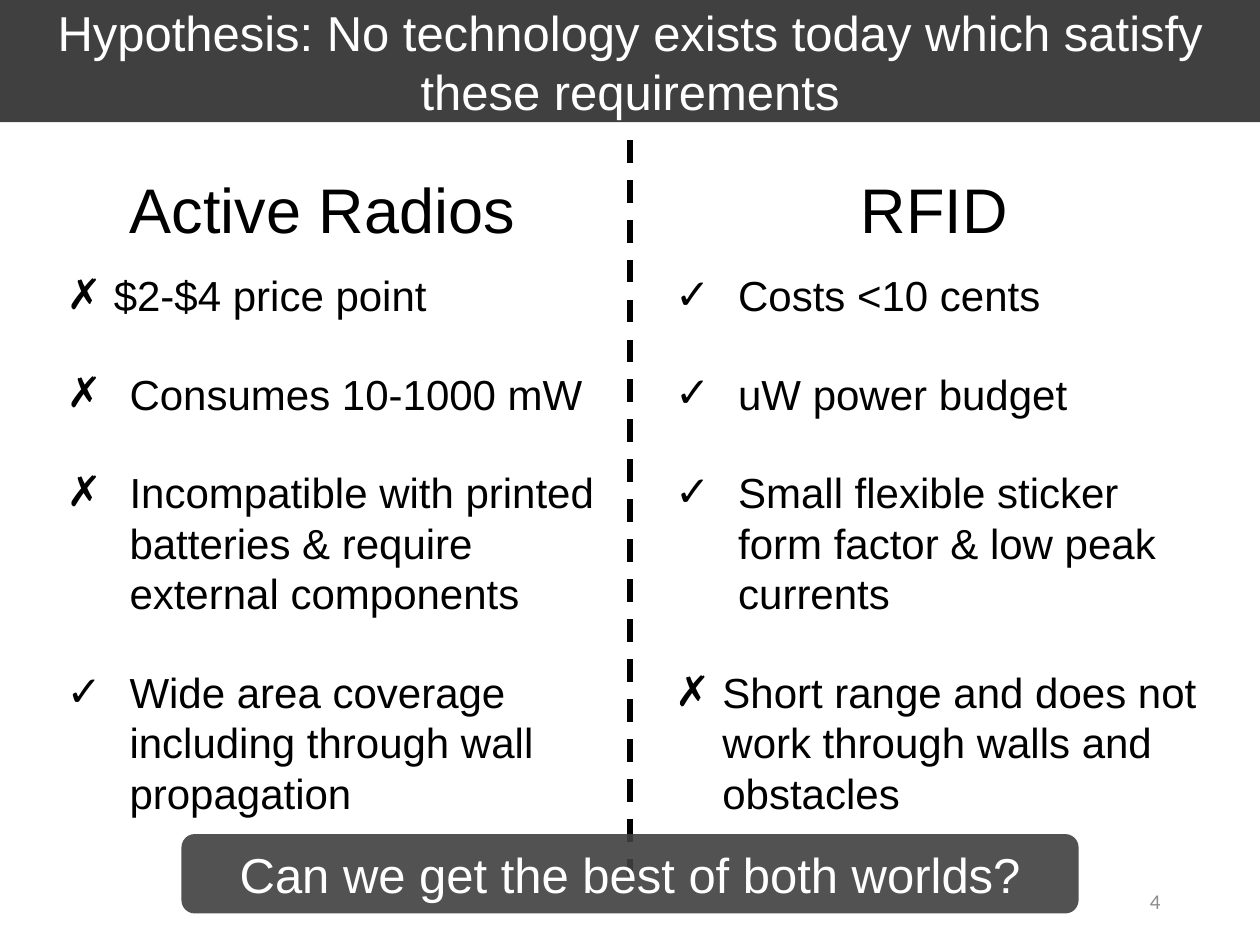
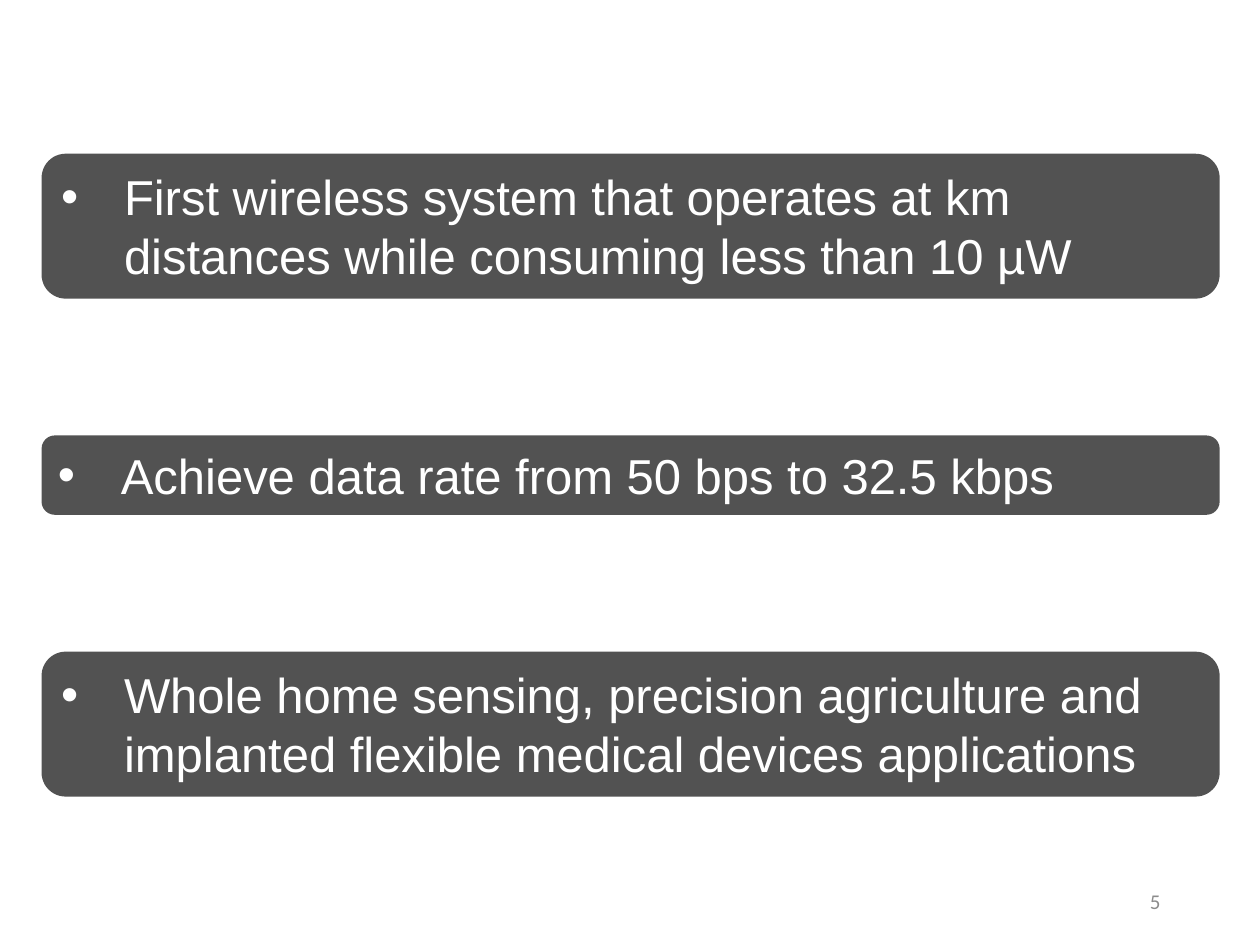
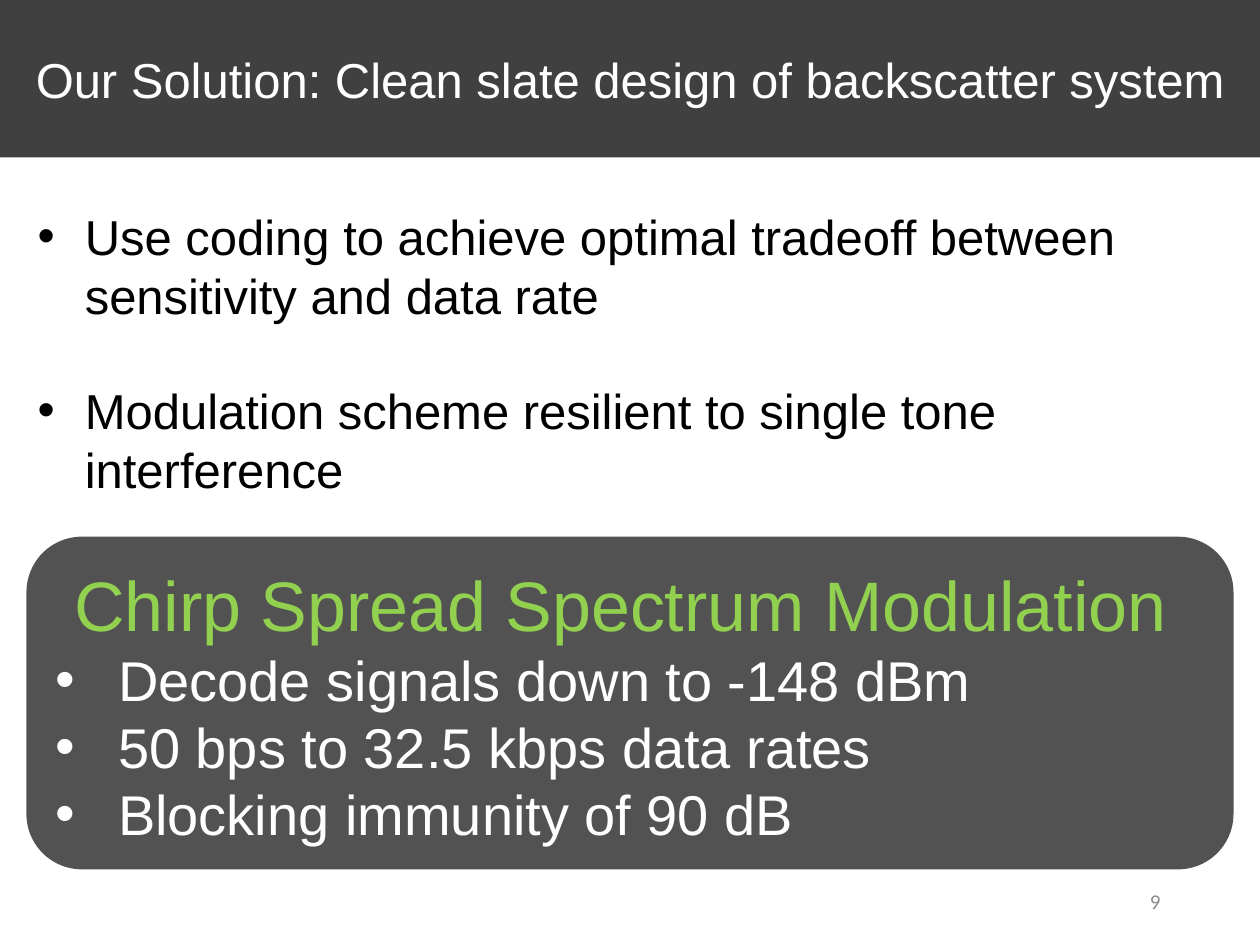
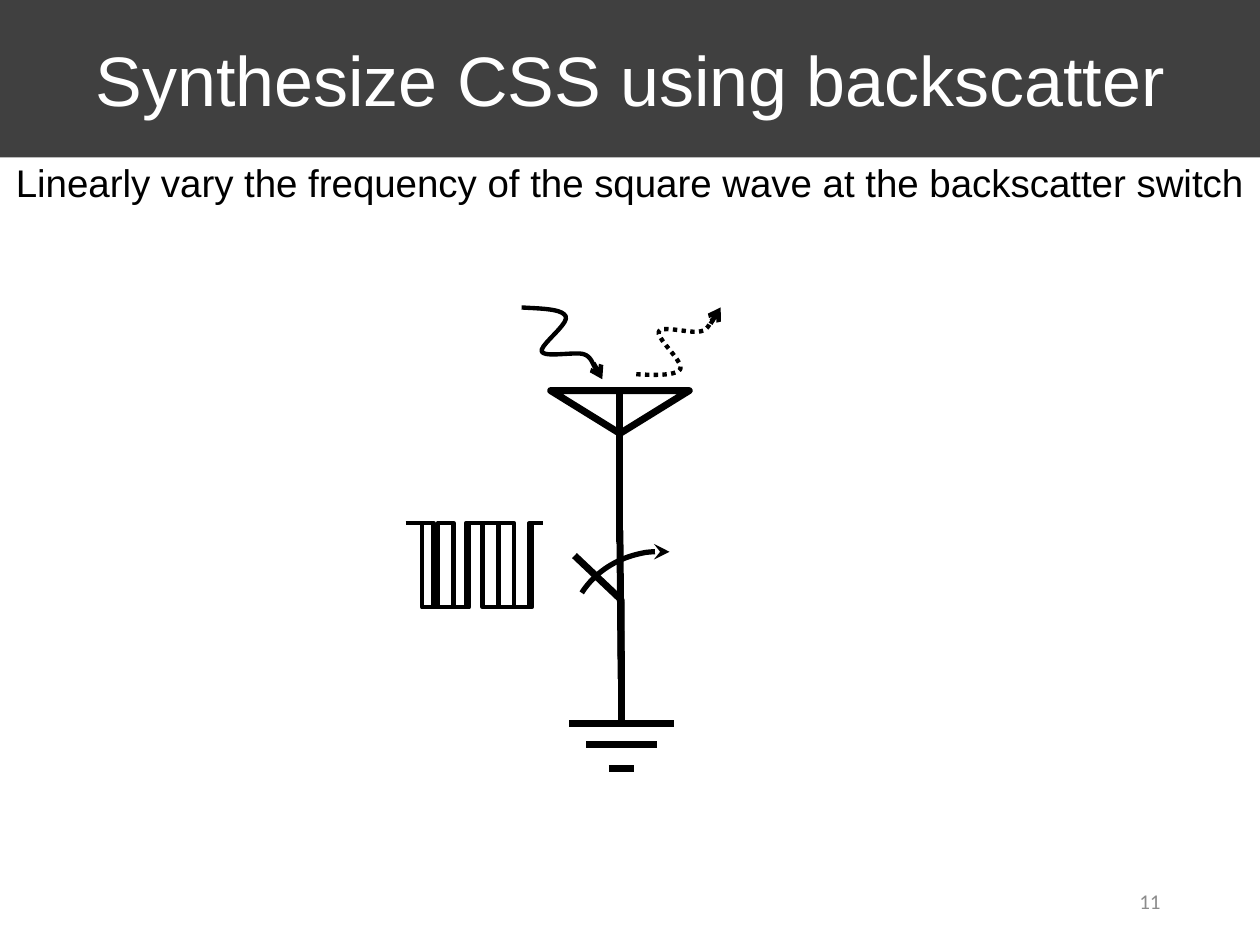
from dataclasses import dataclass
from typing import NamedTuple, Optional, Sequence

from lxml.etree import SubElement
from pptx import Presentation
from pptx.dml.color import RGBColor
from pptx.enum.dml import MSO_LINE as Dash
from pptx.enum.shapes import MSO_CONNECTOR as Connector, MSO_SHAPE as Preset
from pptx.enum.text import MSO_ANCHOR as Anchor, MSO_AUTO_SIZE as AutoSize, PP_ALIGN as Align
from pptx.oxml.ns import qn
from pptx.util import Pt

BAND = "404040"
WHITE = "FFFFFF"
BLACK = "000000"
GREEN = "92D050"
PAGE_GREY = "8C8C8C"
BODY_FONT = "Arial"
PAGE_FONT = "Calibri"
SLIDE_WIDTH, SLIDE_HEIGHT = 720, 540
TITLE_ONLY, BLANK = 5, 6
CARD_OPACITY = 90
CURVE_STEPS = 10


class Box(NamedTuple):
    left: float
    top: float
    width: float
    height: float


class Point(NamedTuple):
    x: float
    y: float


@dataclass(frozen=True)
class Para:
    text: str
    size: float
    color: str = BLACK
    align: Align = Align.LEFT
    mark: str = ""
    indent: float = 36
    gap: float = 0
    font: str = BODY_FONT


@dataclass(frozen=True)
class Pen:
    width: float
    dash: Optional[Dash] = None
    arrow: str = ""


@dataclass(frozen=True)
class SquareWave:
    start: float
    first_edge: float
    half_period: float
    end: float


PAGE_BOX = Box(508.32, 500.4, 162, 28.8)
THICK = Pen(4)
THIN = Pen(2.5)


def rgb(value: str) -> RGBColor:
    return RGBColor.from_string(value)


def frame(box: Box) -> list:
    return [Pt(length) for length in box]


def write(text_frame, paras: Sequence[Para], anchor=Anchor.TOP, fit=AutoSize.SHAPE_TO_FIT_TEXT) -> None:
    text_frame.word_wrap = True
    text_frame.auto_size = fit
    text_frame.vertical_anchor = anchor
    for index, para in enumerate(paras):
        paragraph = text_frame.add_paragraph() if index else text_frame.paragraphs[0]
        paragraph.text = para.text
        paragraph.alignment = para.align
        if para.mark:
            properties = paragraph._p.get_or_add_pPr()
            properties.set("marL", str(Pt(para.indent)))
            properties.set("indent", str(-Pt(para.indent)))
            SubElement(properties, qn("a:buFont"), typeface=BODY_FONT)
            SubElement(properties, qn("a:buChar"), char=para.mark)
        if para.gap and index:
            paragraph.space_before = Pt(para.gap)
        paragraph.font.name = para.font
        paragraph.font.size = Pt(para.size)
        paragraph.font.color.rgb = rgb(para.color)


def add_text(slide, box: Box, paras: Sequence[Para], **options):
    text_box = slide.shapes.add_textbox(*frame(box))
    write(text_box.text_frame, paras, **options)
    return text_box


def add_card(slide, box: Box, paras: Sequence[Para], **options) -> None:
    card = slide.shapes.add_shape(Preset.ROUNDED_RECTANGLE, *frame(box))
    card.shadow.inherit = False
    card.fill.solid()
    card.fill.fore_color.rgb = rgb(BAND)
    card.line.fill.background()
    tint = card.element.spPr.find(qn("a:solidFill")).find(qn("a:srgbClr"))
    SubElement(tint, qn("a:alpha"), val=str(CARD_OPACITY * 1000))
    write(card.text_frame, paras, **options)


def add_page(deck, number: int):
    slide = deck.slides.add_slide(deck.slide_layouts[BLANK])
    add_page_number(slide, number)
    return slide


def add_titled_page(deck, number: int, title: str, size: float, height: float = 90):
    slide = deck.slides.add_slide(deck.slide_layouts[TITLE_ONLY])
    band = slide.shapes.title
    band.left, band.top, band.width, band.height = frame(Box(0, 0, SLIDE_WIDTH, height))
    band.fill.solid()
    band.fill.fore_color.rgb = rgb(BAND)
    write(band.text_frame, [Para(title, size, WHITE, Align.CENTER)], anchor=Anchor.MIDDLE, fit=AutoSize.NONE)
    add_page_number(slide, number)
    return slide


def add_page_number(slide, number: int) -> None:
    label = Para(str(number), 12, PAGE_GREY, Align.RIGHT, font=PAGE_FONT)
    add_text(slide, PAGE_BOX, [label], anchor=Anchor.MIDDLE, fit=AutoSize.NONE)


def stroke(shape, pen: Pen) -> None:
    shape.line.color.rgb = rgb(BLACK)
    shape.line.width = Pt(pen.width)
    if pen.dash:
        shape.line.dash_style = pen.dash
    if pen.arrow:
        SubElement(shape.element.spPr.find(qn("a:ln")), qn("a:tailEnd"), type=pen.arrow)


def add_line(slide, start: Point, end: Point, pen: Pen) -> None:
    line = slide.shapes.add_connector(Connector.STRAIGHT, *map(Pt, (*start, *end)))
    stroke(line, pen)
    SubElement(line.element.spPr, qn("a:effectLst"))


def add_preset(slide, preset: Preset, box: Box, rotation: float, pen: Pen):
    shape = slide.shapes.add_shape(preset, *frame(box))
    shape.rotation = rotation
    shape.shadow.inherit = False
    shape.fill.background()
    stroke(shape, pen)
    return shape


def add_outline(slide, points: Sequence[Point], pen: Pen) -> None:
    corners = [(Pt(x), Pt(y)) for x, y in points]
    builder = slide.shapes.build_freeform(*corners[0])
    builder.add_line_segments(corners[1:], close=False)
    outline = builder.convert_to_shape()
    outline.shadow.inherit = False
    outline.fill.background()
    stroke(outline, pen)


def curve_points(controls: Sequence[Point]) -> list[Point]:
    points = [controls[0]]
    for first in range(0, len(controls) - 1, 3):
        segment = controls[first:first + 4]
        for step in range(1, CURVE_STEPS + 1):
            t = step / CURVE_STEPS
            weights = ((1 - t) ** 3, 3 * t * (1 - t) ** 2, 3 * t * t * (1 - t), t ** 3)
            points.append(Point(
                sum(w * p[0] for w, p in zip(weights, segment)),
                sum(w * p[1] for w, p in zip(weights, segment)),
            ))
    return points


def square_points(wave: SquareWave, high: float, low: float) -> list[Point]:
    points = [Point(wave.start, high)]
    before, after = high, low
    for edge in range(4):
        x = wave.first_edge + edge * wave.half_period
        points += [Point(x, before), Point(x, after)]
        before, after = after, before
    return points + [Point(wave.end, high)]


def build_hypothesis(deck) -> None:
    slide = add_titled_page(
        deck, 4, "Hypothesis: No technology exists today which satisfy these requirements", 28, 69.84)
    add_line(slide, Point(360, 79.92), Point(360, 500.4), Pen(3.25, Dash.DASH))
    columns = (
        ("Active Radios", Box(60.48, 93.6, 247.68, 51.12), Box(30.96, 150.48, 329.04, 326.88), (
            ("✗", 27, "$2-$4 price point"),
            ("✗", 36, "Consumes 10-1000 mW"),
            ("✗", 36, "Incompatible with printed batteries & require external components"),
            ("✓", 36, "Wide area coverage including through wall propagation"),
        )),
        ("RFID", Box(436.32, 93.6, 195.12, 51.12), Box(378.72, 150.48, 317.52, 326.88), (
            ("✓", 36, "Costs <10 cents"),
            ("✓", 36, "uW power budget"),
            ("✓", 36, "Small flexible sticker form factor & low peak currents"),
            ("✗", 27, "Short range and does not work through walls and obstacles"),
        )),
    )
    for heading, heading_box, list_box, points in columns:
        add_text(slide, heading_box, [Para(heading, 36, align=Align.CENTER)])
        add_text(slide, list_box, [
            Para(text, 24, mark=mark, indent=indent, gap=27.6) for mark, indent, text in points])
    question = Para("Can we get the best of both worlds?", 28, WHITE, Align.CENTER)
    add_card(slide, Box(103.68, 476.64, 512.64, 45.36), [question])


def build_contributions(deck) -> None:
    slide = add_page(deck, 5)
    top, gap = 87.84, 78.2
    contributions = (
        ("First wireless system that operates at km distances while consuming less than 10 µW", 82.8),
        ("Achieve data rate from 50 bps to 32.5 kbps", 45.36),
        ("Whole home sensing, precision agriculture and implanted flexible medical devices applications", 82.8),
    )
    for text, height in contributions:
        add_card(slide, Box(23.76, top, 673.2, height), [Para(text, 28, WHITE, mark="•")])
        top += height + gap


def build_solution(deck) -> None:
    slide = add_titled_page(deck, 9, "Our Solution: Clean slate design of backscatter system", 28)
    goals = (
        "Use coding to achieve optimal tradeoff between sensitivity and data rate",
        "Modulation scheme resilient to single tone interference",
    )
    goal_list = add_text(slide, Box(14.4, 82.08, 689.04, 210.96), [
        Para(goal, 28, mark="•", indent=27, gap=32.2) for goal in goals])
    goal_list.text_frame.margin_top = Pt(35.8)
    results = ("Decode signals down to -148 dBm", "50 bps to 32.5 kbps data rates", "Blocking immunity of 90 dB")
    add_card(slide, Box(15.12, 306.72, 689.76, 190.08), [
        Para("Chirp Spread Spectrum Modulation ", 40, GREEN, Align.CENTER),
        *(Para(result, 32, WHITE, mark="•") for result in results),
    ], anchor=Anchor.BOTTOM)


def draw_antenna(slide) -> None:
    add_preset(slide, Preset.ISOSCELES_TRIANGLE, Box(314.64, 223.2, 79.2, 24.48), 180, THICK)
    mast = (
        (Point(354.24, 223.2), Point(354.24, 295.92)),
        (Point(354.24, 309.6), Point(354.24, 280.08)),
        (Point(354.96, 388.08), Point(354.24, 303.12)),
        (Point(354.96, 413.28), Point(354.96, 372.24)),
    )
    for start, end in mast:
        add_line(slide, start, end, THICK)
    ground_x = 355.2
    for y, half_width in ((413.28, 29.9), (425.52, 20.2), (439.2, 7.2)):
        add_line(slide, Point(ground_x - half_width, y), Point(ground_x + half_width, y), THICK)


def draw_switch(slide) -> None:
    add_outline(slide, [Point(354.96, 375.12), Point(354.96, 342.72), Point(328.32, 317.52)], THICK)
    swing = add_preset(slide, Preset.ARC, Box(329.04, 311.04, 101.52, 110.16), 283.4, Pen(3, arrow="stealth"))
    swing.adjustments[0] = 171.96
    swing.adjustments[1] = 209.9


def draw_radio_waves(slide) -> None:
    incoming = (
        (298.08, 175.68), (309.6, 176.4), (321.12, 176.4), (323.28, 180.72),
        (325.44, 185.04), (308.16, 197.28), (309.6, 200.88),
        (311.04, 204.48), (328.32, 200.88), (333.36, 202.32),
        (339.12, 203.76), (339.12, 211.68), (341.28, 210.24),
    )
    reflected = (
        (363.6, 213.84), (375.12, 214.56), (386.64, 214.56), (388.8, 210.96),
        (390.96, 206.64), (374.4, 192.96), (376.56, 189.36),
        (378, 185.76), (395.28, 190.8), (400.32, 189.36),
        (406.08, 188.64), (406.08, 180.72), (408.96, 182.16),
    )
    for controls, neck, tip, dash in (
        (incoming, Point(339.12, 207.36), Point(344.16, 216.72), None),
        (reflected, Point(406.08, 185.04), Point(411.84, 175.68), Dash.ROUND_DOT),
    ):
        add_outline(slide, curve_points(controls), Pen(2.5, dash))
        add_line(slide, neck, tip, Pen(2.5, dash, "arrow"))


def build_synthesis(deck) -> None:
    slide = add_titled_page(deck, 11, "Synthesize CSS using backscatter", 40)
    draw_antenna(slide)
    draw_switch(slide)
    draw_radio_waves(slide)
    for wave in (
        SquareWave(231.84, 247.68, 18.72, 310.32),
        SquareWave(233.28, 241.2, 8.93, 270.72),
        SquareWave(268.56, 275.76, 8.93, 305.28),
    ):
        add_outline(slide, square_points(wave, high=298.8, low=347.04), THIN)
    method = "Linearly vary the frequency of the square wave at the backscatter switch"
    add_text(slide, Box(0, 87.12, SLIDE_WIDTH, 33.84), [Para(method, 22, align=Align.CENTER)])


def main() -> None:
    deck = Presentation()
    deck.slide_width, deck.slide_height = Pt(SLIDE_WIDTH), Pt(SLIDE_HEIGHT)
    for build in (build_hypothesis, build_contributions, build_solution, build_synthesis):
        build(deck)
    deck.save("out.pptx")


if __name__ == "__main__":
    main()
